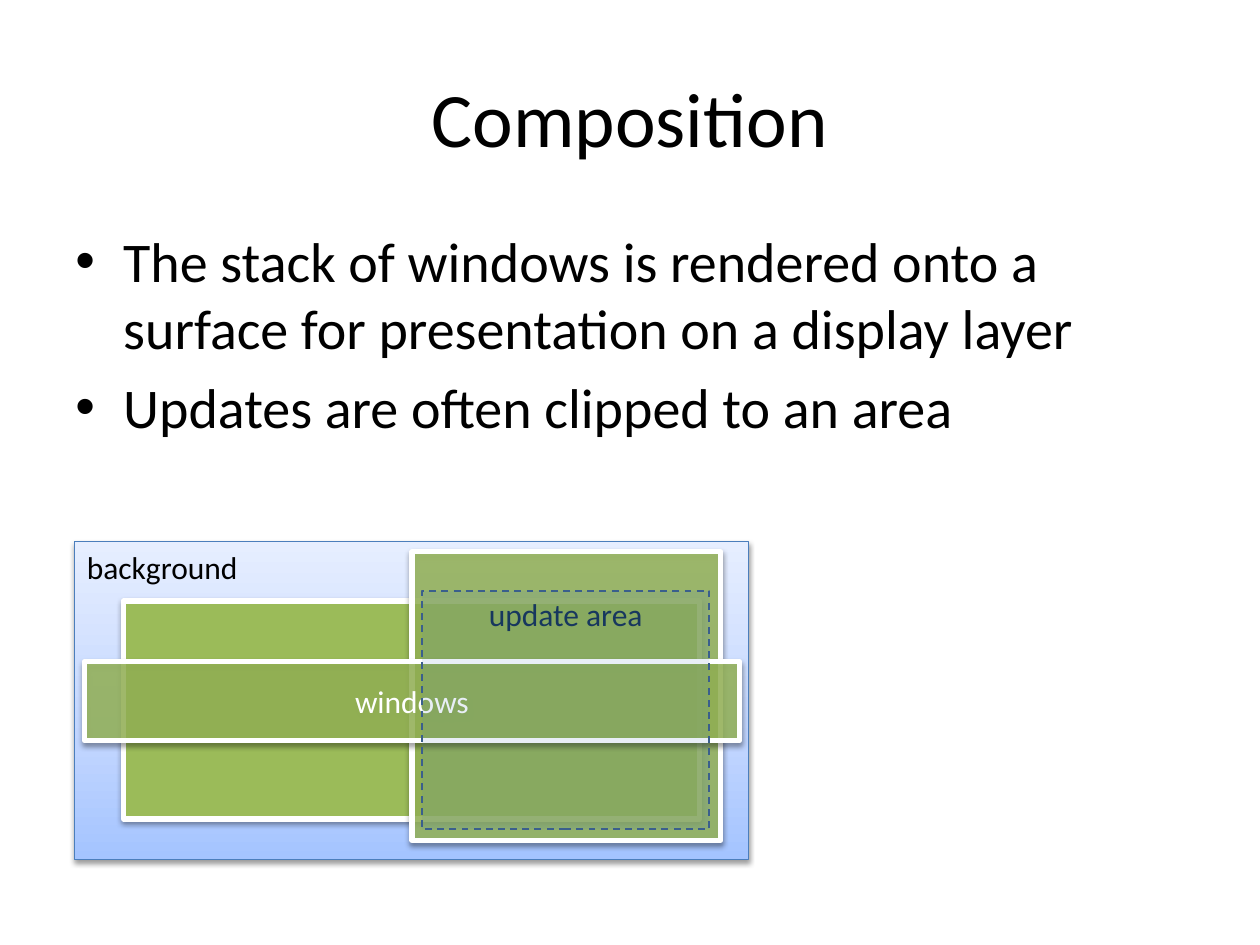
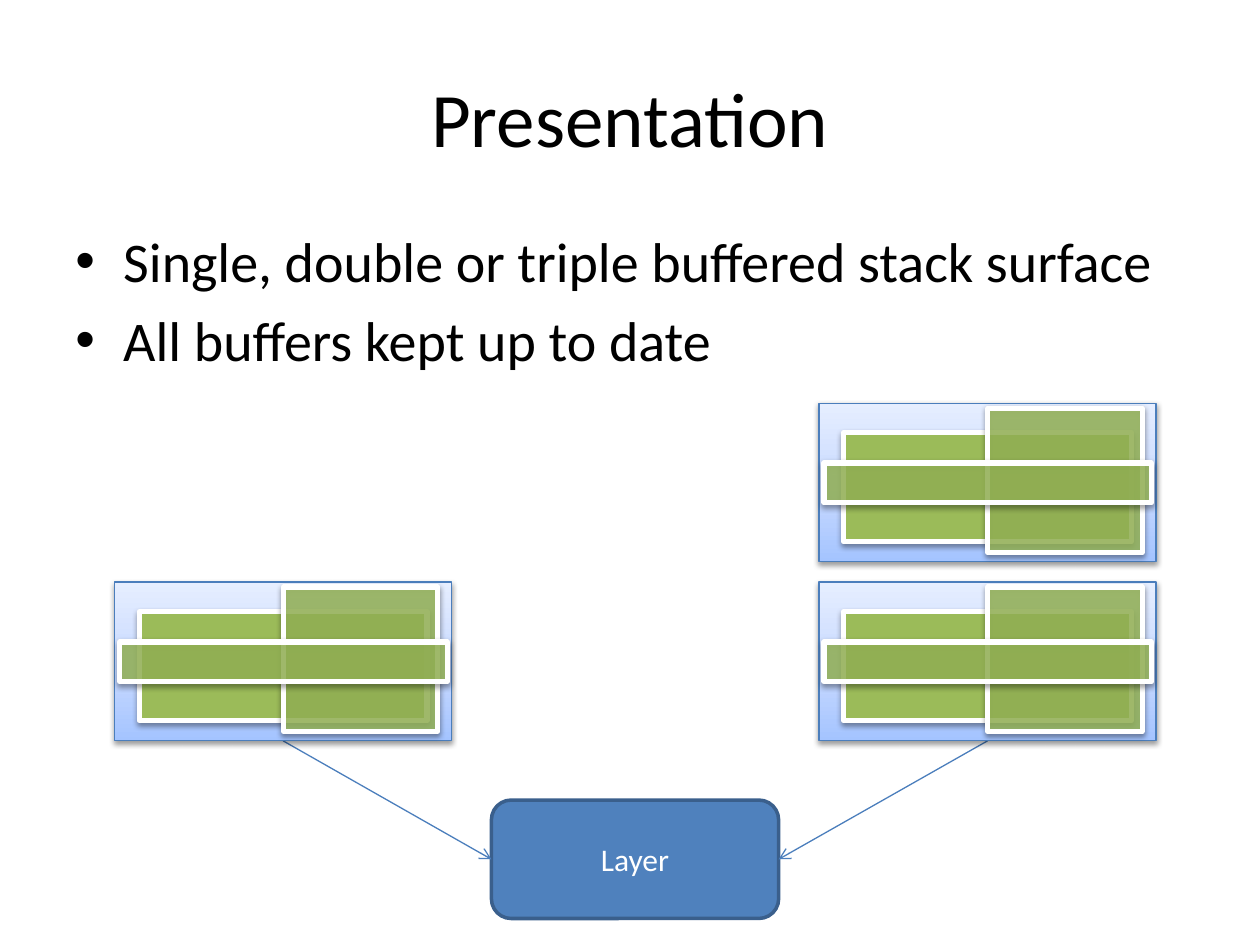
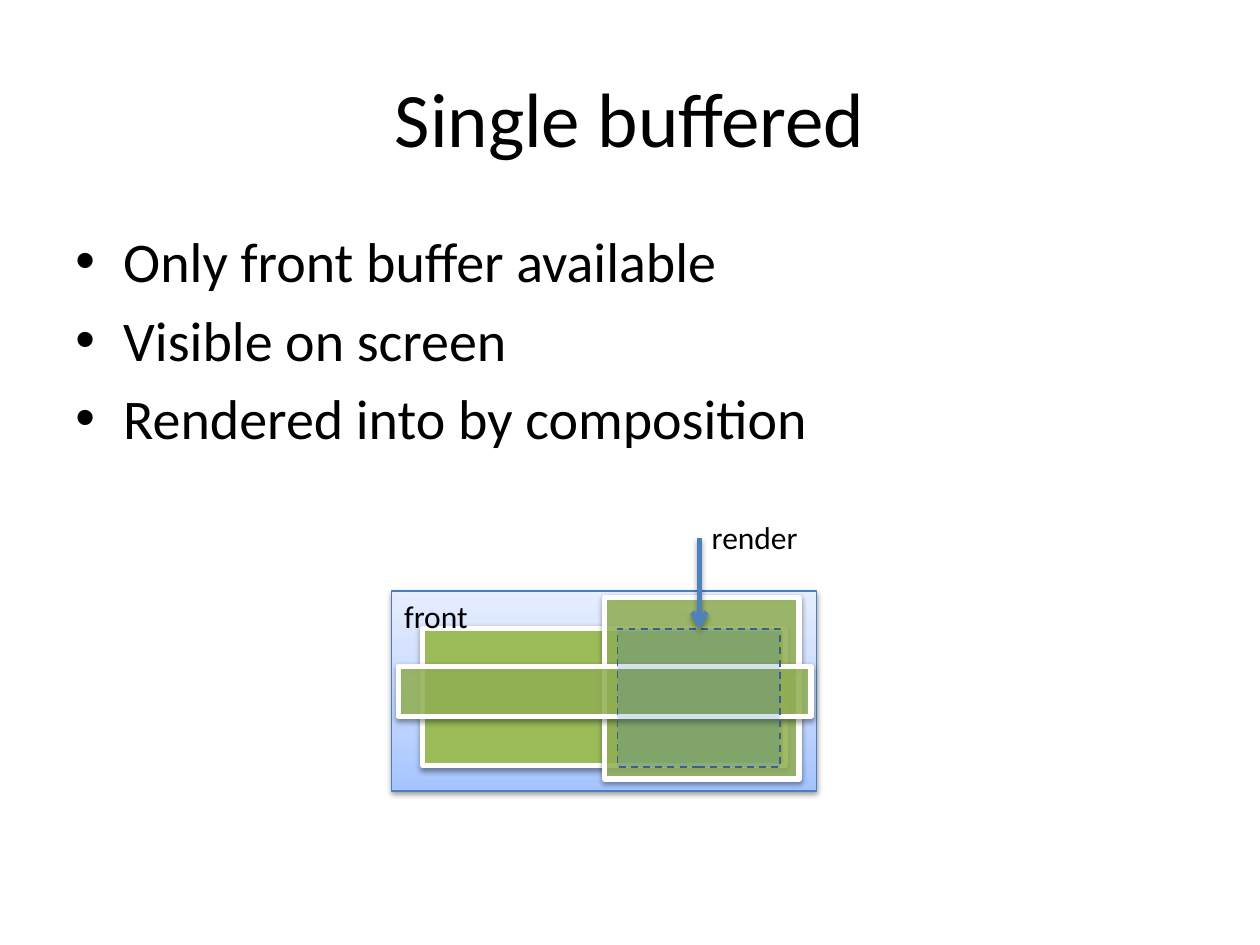
from copy import deepcopy
from dataclasses import dataclass

from lxml.etree import SubElement
from pptx import Presentation
from pptx.dml.color import RGBColor
from pptx.enum.dml import MSO_LINE
from pptx.enum.shapes import MSO_CONNECTOR, MSO_SHAPE
from pptx.enum.text import MSO_ANCHOR, PP_ALIGN
from pptx.oxml.ns import qn
from pptx.util import Inches, Pt


@dataclass(frozen=True)
class Theme:
    font: str = "Calibri"
    black: str = "000000"
    white: str = "FFFFFF"
    navy: str = "17375E"
    blue: str = "4F81BD"
    edge: str = "4B7EBC"
    dark: str = "3A5F8C"
    green: str = "9BBB59"
    fade: tuple = ((0, "A4C4FF"), (0.35, "BFD4FF"), (1, "E6EEFF"))
    title: int = 44
    body: int = 32
    label: int = 18


T = Theme()
MID = {"word_wrap": True, "vertical_anchor": MSO_ANCHOR.MIDDLE}
TOP = {"word_wrap": True, "vertical_anchor": MSO_ANCHOR.TOP}
HIGH = TOP | {"margin_top": Inches(0.03)}
CENTER = {"alignment": PP_ALIGN.CENTER}
LEFT = {"alignment": PP_ALIGN.LEFT}
ITEM = LEFT | {"space_before": Pt(6.4)}

STACK = (5.35, 2.52)
PANES = (
    ((0.39, 0.47, 4.57, 1.73), None),
    ((2.68, 0.08, 2.45, 2.29), 80),
    ((0.08, 0.95, 5.2, 0.63), 80),
)


def apply(target, values):
    for name, value in values.items():
        setattr(target, name, value)


def rgb(code):
    return RGBColor.from_string(code)


def write(frame, lines, size, color, box=TOP, para=LEFT):
    apply(frame, box)
    for i, line in enumerate(lines):
        part = frame.add_paragraph() if i else frame.paragraphs[0]
        apply(part, para)
        run = part.add_run()
        run.text = line
        apply(run.font, {"name": T.font, "size": Pt(size)})
        run.font.color.rgb = rgb(color)
    return frame


def text(shapes, area, lines, size, box=TOP, para=LEFT):
    frame = shapes.add_textbox(*map(Inches, area)).text_frame
    return write(frame, lines, size, T.black, box, para)


def bullet(part):
    props = part._p.get_or_add_pPr()
    props.set("marL", str(Inches(0.38)))
    props.set("indent", str(Inches(-0.38)))
    SubElement(props, qn("a:buFont"), typeface="Arial")
    SubElement(props, qn("a:buChar"), char="•")


def stroke(line, color, width, dash=None):
    line.color.rgb = rgb(color)
    apply(line, {"width": Pt(width), "dash_style": dash})


def shade(effects, alpha=38, drop=20000):
    cast = SubElement(effects, qn("a:outerShdw"), blurRad="40000",
                      dist=str(drop), dir="5400000", rotWithShape="0")
    tone = SubElement(cast, qn("a:srgbClr"), val=T.black)
    SubElement(tone, qn("a:alpha"), val=str(alpha * 1000))


def block(shapes, area, fill, line, alpha=None, shadow=False, kind=MSO_SHAPE.RECTANGLE):
    shape = shapes.add_shape(kind, *map(Inches, area))
    if isinstance(fill, tuple):
        blend(shape, fill)
    else:
        shape.fill.solid()
        shape.fill.fore_color.rgb = rgb(fill)
    props = shape.element.spPr
    if alpha:
        tone = props.find(qn("a:solidFill")).find(qn("a:srgbClr"))
        SubElement(tone, qn("a:alpha"), val=str(alpha * 1000))
    stroke(shape.line, *line)
    shape.shadow.inherit = False
    if shadow:
        shade(props.find(qn("a:effectLst")))
    return shape


def blend(shape, fade):
    shape.fill.gradient()
    shape.fill.gradient_angle = 90
    stops = shape.element.spPr.find(qn("a:gradFill")).find(qn("a:gsLst"))
    stops.append(deepcopy(stops[0]))
    for stop, (place, color) in zip(shape.fill.gradient_stops, fade):
        stop.position = place
        stop.color.rgb = rgb(color)


def arrow(shapes, start, end, color, width, shadow=False):
    line = shapes.add_connector(MSO_CONNECTOR.STRAIGHT, *map(Inches, start + end))
    stroke(line.line, color, width)
    props = line.element.spPr
    SubElement(props.find(qn("a:ln")), qn("a:tailEnd"), type="arrow")
    effects = SubElement(props, qn("a:effectLst"))
    if shadow:
        shade(effects, 35, 23000)


def stack(shapes, left, top, scale=1):
    group = shapes.add_group_shape().shapes
    size = [side * scale for side in STACK]
    block(group, (left, top, *size), T.fade, (T.edge, 0.75), shadow=True)
    for (x, y, w, h), alpha in PANES:
        area = (left + x * scale, top + y * scale, w * scale, h * scale)
        pane = block(group, area, T.green, (T.white, 3), alpha, True)
    return group, pane


def update(shapes, area, alpha):
    return block(shapes, area, T.blue, (T.dark, 1, MSO_LINE.DASH), alpha)


def page(deck, title, items):
    shapes = deck.slides.add_slide(deck.slide_layouts[6]).shapes
    text(shapes, (0.5, 0.3, 9, 1.25), [title], T.title, MID, CENTER)
    frame = text(shapes, (0.5, 1.75, 9, 4.95), items, T.body, TOP, ITEM)
    for part in frame.paragraphs:
        bullet(part)
    return shapes


def compose(deck):
    shapes = page(deck, "Composition", [
        "The stack of windows is rendered onto a surface for presentation on a display layer",
        "Updates are often clipped to an area",
    ])
    group, pane = stack(shapes, 0.59, 4.3)
    write(pane.text_frame, ["windows"], T.label, T.white, MID, CENTER)
    area = update(group, (3.35, 4.69, 2.28, 1.89), 13)
    write(area.text_frame, ["update area"], T.label, T.navy, HIGH, CENTER)
    text(shapes, (0.59, 4.3, 1.42, 0.4), ["background"], T.label)


def present(deck):
    shapes = page(deck, "Presentation", [
        "Single, double or triple buffered stack surface",
        "All buffers kept up to date",
    ])
    left, top, width, height = 3.9, 6.35, 2.28, 0.94
    layer = block(shapes, (left, top, width, height), T.blue, (T.dark, 2),
                  kind=MSO_SHAPE.ROUNDED_RECTANGLE)
    write(layer.text_frame, ["Layer"], T.label, T.white, MID, CENTER)
    scale, near, far, low, high = 0.5, 0.91, 6.5, 4.62, 3.2
    for x, end in ((near, left), (far, left + width)):
        start = (x + STACK[0] * scale / 2, low + STACK[1] * scale)
        arrow(shapes, start, (end, top + height / 2), T.edge, 0.75)
    for x, y in ((near, low), (far, low), (far, high)):
        stack(shapes, x, y, scale)


def single(deck):
    shapes = page(deck, "Single buffered", [
        "Only front buffer available",
        "Visible on screen",
        "Rendered into by composition",
    ])
    left, top = 3.11, 4.69
    group, pane = stack(shapes, left, top, 0.63)
    update(group, (4.9, 4.99, 1.29, 1.1), 23)
    arrow(shapes, (5.55, 4.27), (5.55, 4.99), T.blue, 3, True)
    text(shapes, (5.55, 4.06, 0.89, 0.4), ["render"], T.label)
    text(shapes, (left, top, 1.26, 0.4), ["front"], T.label)


def main():
    deck = Presentation()
    apply(deck, {"slide_width": Inches(10), "slide_height": Inches(7.5)})
    for build in (compose, present, single):
        build(deck)
    deck.save("out.pptx")


if __name__ == "__main__":
    main()
